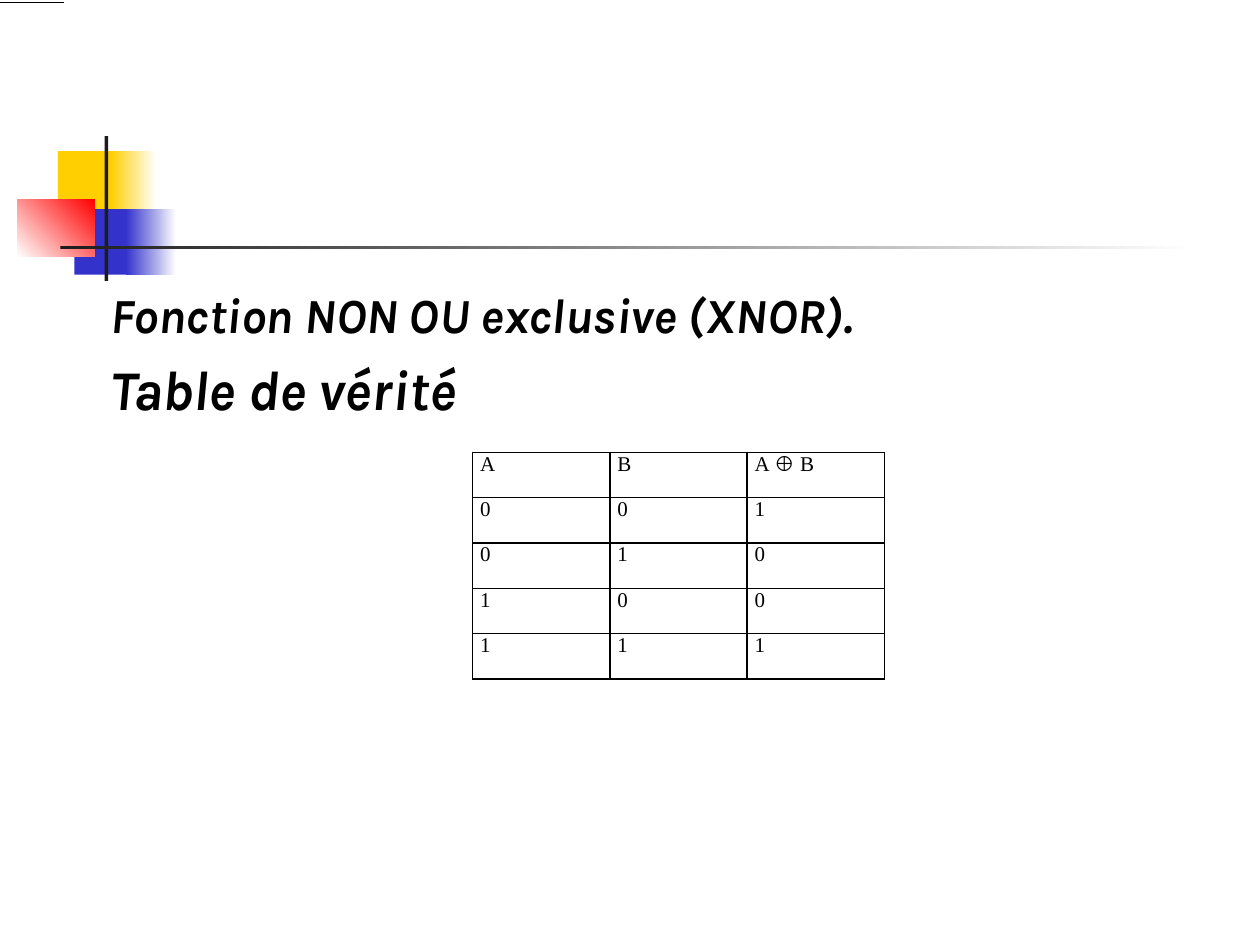
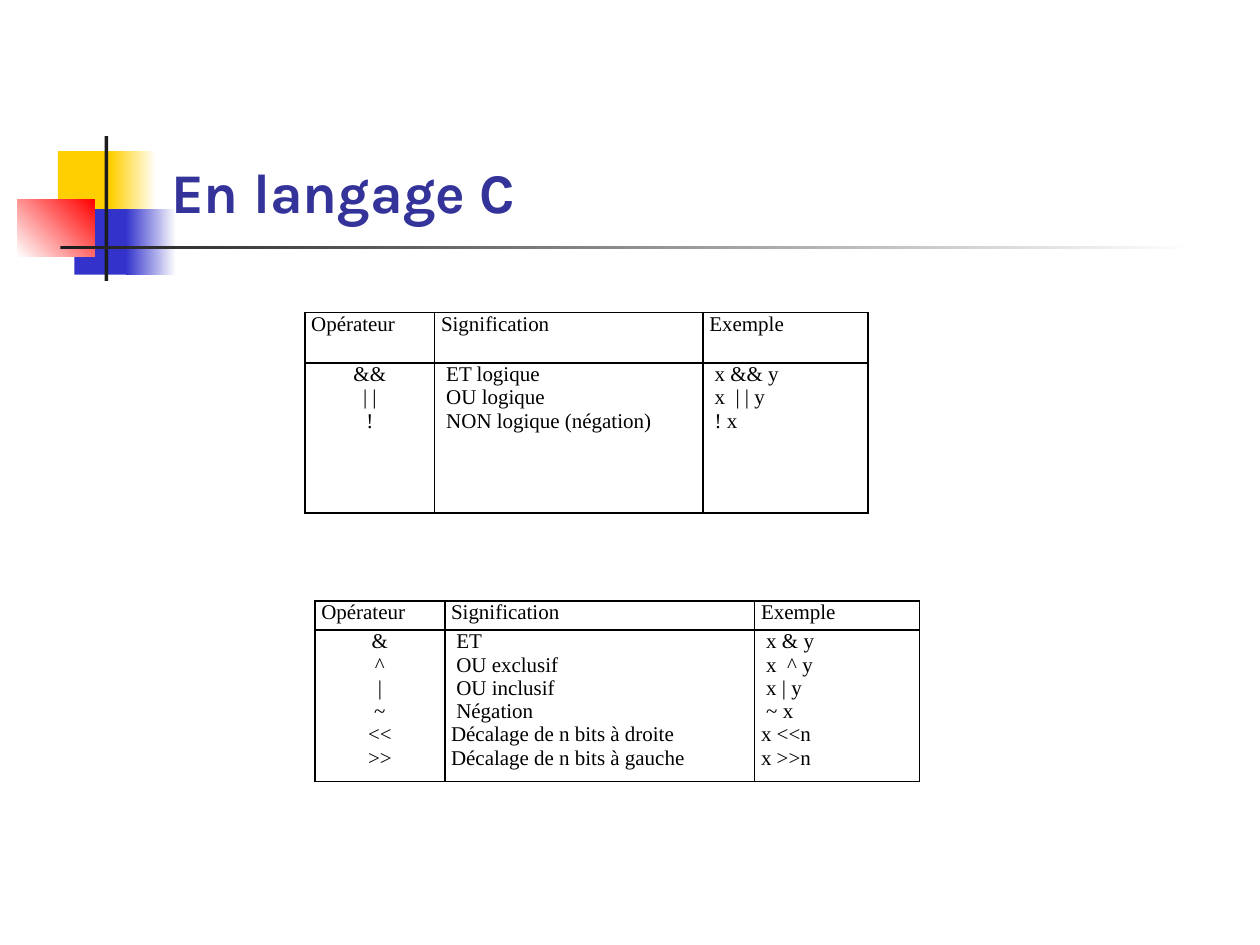
"""Build two slides on logic functions: the XNOR truth table and the C operators."""
from lxml.etree import SubElement
from pptx import Presentation
from pptx.dml.color import RGBColor
from pptx.enum.shapes import MSO_CONNECTOR as Connector, MSO_SHAPE as Shape
from pptx.enum.text import MSO_ANCHOR as Anchor, PP_ALIGN as Align
from pptx.oxml import parse_xml
from pptx.oxml.ns import nsdecls, qn
from pptx.util import Inches, Pt

COLORS = {
    "yellow": "FFCF01",
    "blue": "3333CC",
    "red": "FF0000",
    "dark": "1C1C1C",
    "white": "FFFFFF",
    "title": "333399",
    "black": "000000",
}
HEADING_FONT = "Karla"
TABLE_FONT = "Times New Roman"
OPERATOR_HEADER = ["Opérateur", "Signification", "Exemple"]

BANDS = [
    (0.46, 1.2, 0.48, 0.52, ["yellow"], 0),
    (0.88, 1.2, 0.36, 0.52, ["yellow", "white"], 0),
    (0.59, 1.66, 0.46, 0.52, ["blue"], 0),
    (1, 1.66, 0.4, 0.52, ["blue", "white"], 0),
    (0.14, 1.58, 0.61, 0.46, ["white", "red"], 45),
    (0.83, 1.08, 0.03, 1.15, ["dark"], 0),
    (0.48, 1.95, 9, 0.03, ["dark", "white"], 0),
]


def color(name):
    return RGBColor.from_string(COLORS[name])


def add_band(page, left, top, width, height, tones, angle):
    band = page.shapes.add_shape(
        Shape.RECTANGLE, Inches(left), Inches(top), Inches(width), Inches(height))
    band.shadow.inherit = False
    band.line.fill.background()
    if len(tones) == 1:
        band.fill.solid()
        band.fill.fore_color.rgb = color(tones[0])
        return
    band.fill.gradient()
    band.fill.gradient_angle = angle
    for stop, tone in zip(band.fill.gradient_stops, tones):
        stop.color.rgb = color(tone)


def add_page(deck):
    page = deck.slides.add_slide(deck.slide_layouts[6])
    for band in BANDS:
        add_band(page, *band)
    return page


def style_font(font, name, size, tone, bold=False, italic=False):
    font.name = name
    font.size = Pt(size)
    font.color.rgb = color(tone)
    font.bold = bold
    font.italic = italic


def add_heading(page, left, top, width, height, lines, tone,
                italic=False, anchor=Anchor.TOP, spacing=0):
    box = page.shapes.add_textbox(
        Inches(left), Inches(top), Inches(width), Inches(height))
    frame = box.text_frame
    frame.word_wrap = True
    frame.vertical_anchor = anchor
    frame.text = "\n".join(text for text, size in lines)
    for para, (text, size) in zip(frame.paragraphs, lines):
        para.space_before = Pt(size * spacing)
        style_font(para.font, HEADING_FONT, size, tone, bold=True, italic=italic)


def add_borders(cell):
    properties = cell._tc.get_or_add_tcPr()
    for index, side in enumerate(["lnL", "lnR", "lnT", "lnB"]):
        border = parse_xml(
            f'<a:{side} {nsdecls("a")} w="{Pt(1)}"><a:solidFill>'
            f'<a:srgbClr val="{COLORS["black"]}"/></a:solidFill></a:{side}>')
        properties.insert(index, border)


def fill_cell(cell, text, align, inset):
    cell.margin_left = cell.margin_right = Inches(inset)
    cell.margin_top = cell.margin_bottom = 0
    cell.fill.background()
    add_borders(cell)
    cell.text = text
    for para in cell.text_frame.paragraphs:
        para.alignment = align
        style_font(para.font, TABLE_FONT, 12, "black")


def add_grid(page, left, top, widths, heights, rows, inset, center_symbols=False):
    table = page.shapes.add_table(
        len(heights), len(widths), Inches(left), Inches(top),
        Inches(sum(widths)), Inches(sum(heights))).table
    table.first_row = table.horz_banding = False
    for column, width in zip(table.columns, widths):
        column.width = Inches(width)
    for r, (height, texts) in enumerate(zip(heights, rows)):
        table.rows[r].height = Inches(height)
        for c, text in enumerate(texts):
            centered = center_symbols and r > 0 and c == 0
            align = Align.CENTER if centered else Align.JUSTIFY
            fill_cell(table.cell(r, c), text, align, inset)


def add_operators(page, left, top, meaning_width, heights, operators):
    columns = ["\n".join(column) for column in zip(*operators)]
    add_grid(page, left, top, [1.03, meaning_width, 1.31], heights,
             [OPERATOR_HEADER, columns], 0.05, center_symbols=True)


def add_rule(page, left, right, y):
    rule = page.shapes.add_connector(
        Connector.STRAIGHT, Inches(left), Inches(y), Inches(right), Inches(y))
    rule.line.color.rgb = color("black")
    rule.line.width = Pt(0.75)
    SubElement(rule._element.spPr, qn("a:effectLst"))


def build_truth_table(deck):
    page = add_page(deck)
    lines = [("Fonction NON OU exclusive (XNOR).", 28), ("Table de vérité", 32)]
    add_heading(page, 0.78, 2.21, 9.01, 4.5, lines, "black", italic=True, spacing=0.2)
    values = [[str(a), str(b), str(int(a == b))] for a in (0, 1) for b in (0, 1)]
    add_grid(page, 3.75, 3.59, [1.09] * 3, [0.36] * 5,
             [["A", "B", "A ⊕ B"]] + values, 0.06)
    add_rule(page, 0, 0.51, 0.02)


def build_operators(deck):
    page = add_page(deck)
    add_heading(page, 1.26, 0.23, 8.52, 1.6, [("En langage C", 32)], "title",
                anchor=Anchor.BOTTOM)
    add_operators(page, 2.42, 2.48, 2.13, [0.4, 1.19], [
        ("&&", " ET logique", " x && y"),
        ("| |", " OU logique", " x  | | y"),
        ("!", " NON logique (négation)", " ! x"),
    ])
    add_operators(page, 2.5, 4.77, 2.46, [0.23, 1.11], [
        ("&", " ET", " x & y"),
        ("^", " OU exclusif", " x  ^ y"),
        ("|", " OU inclusif", " x | y"),
        ("~", " Négation", " ~ x"),
        ("<<", "Décalage de n bits à droite", "x <<n"),
        (">>", "Décalage de n bits à gauche", "x >>n"),
    ])


def main():
    deck = Presentation()
    deck.slide_width = Inches(10)
    deck.slide_height = Inches(7.5)
    build_truth_table(deck)
    build_operators(deck)
    deck.save("out.pptx")


main()
